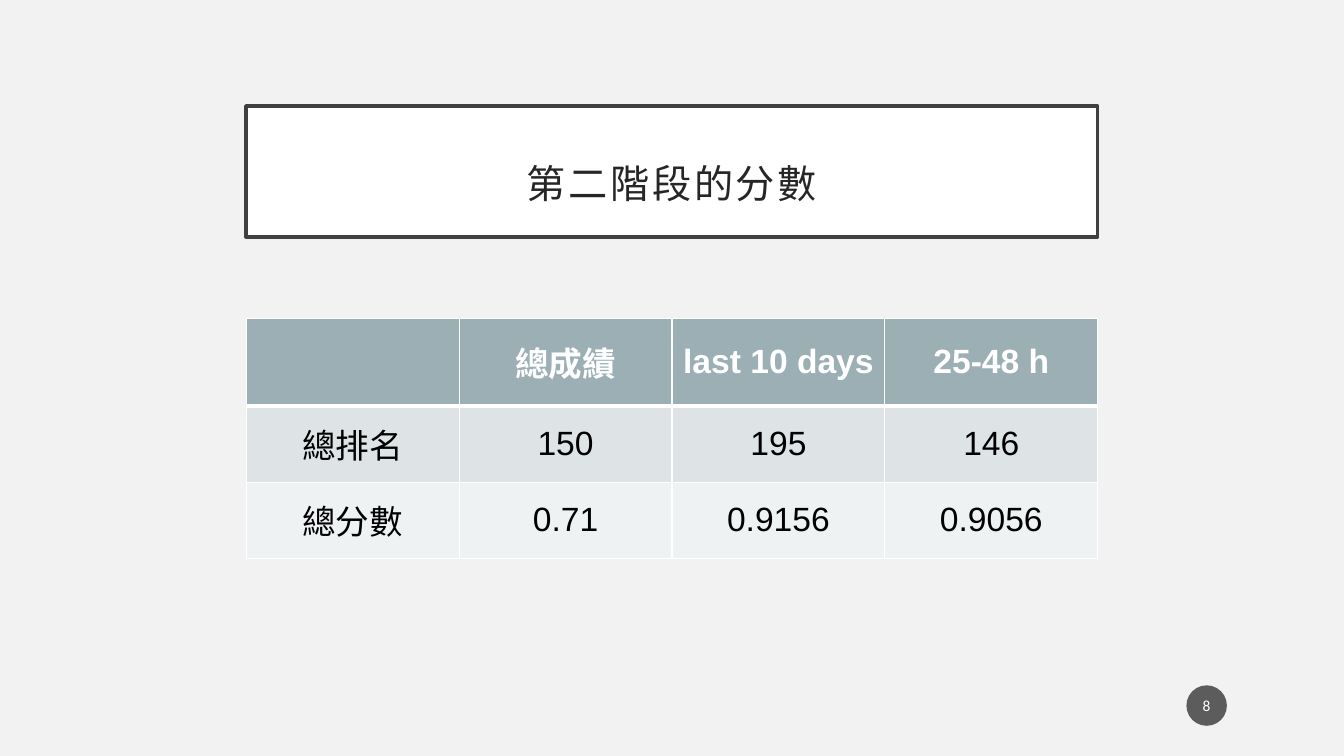
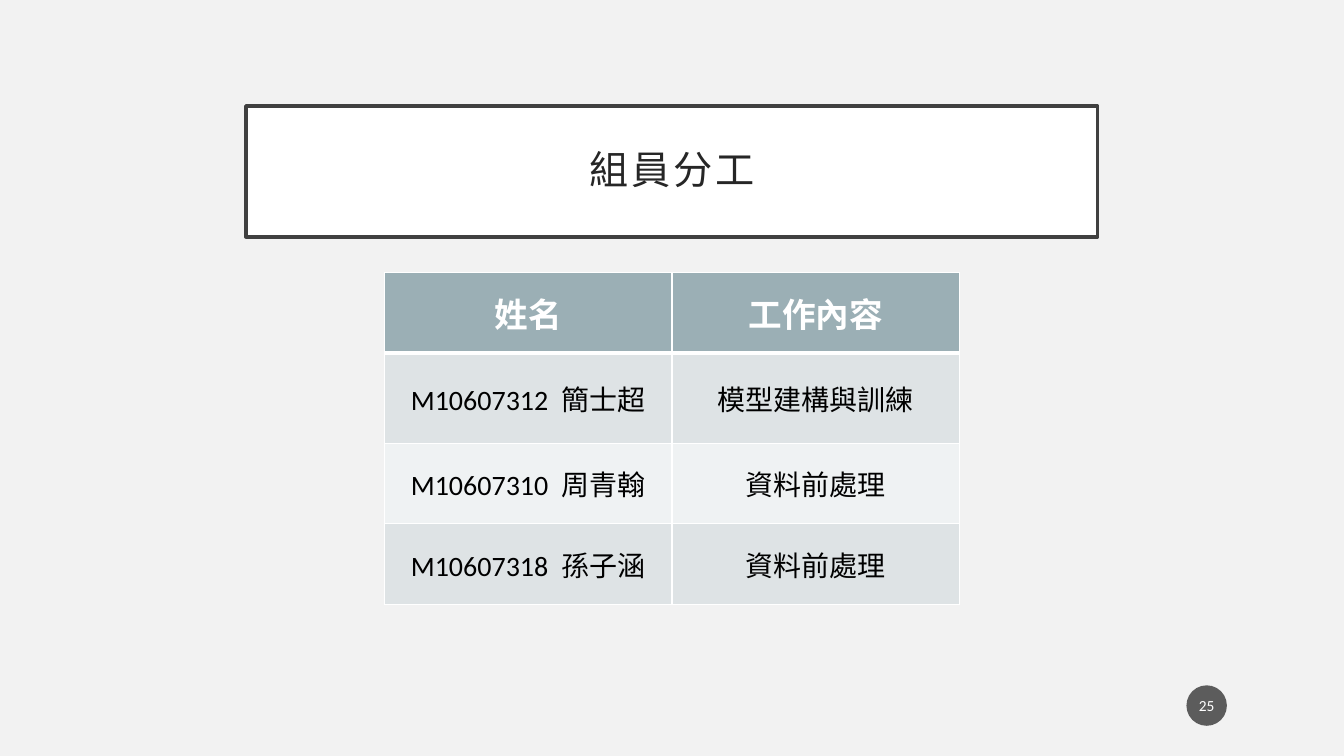
import pptx
import pptx.util
import pptx.dml.color
import pptx.enum.shapes
import pptx.enum.text
import pptx.oxml
import pptx.oxml.ns

Cm, Pt = pptx.util.Cm, pptx.util.Pt
RGB = pptx.dml.color.RGBColor
MID = pptx.enum.text.MSO_ANCHOR.MIDDLE
CENTER = pptx.enum.text.PP_ALIGN.CENTER

PAGES = [
    {"title": "第二階段的分數", "lead": 1.5, "number": "8",
     "top": 8.03, "width": 21.46, "heights": [2.2, 1.92, 1.92],
     "font": "Arial", "size": 24, "tight": True,
     "rows": [("", "總成績", "last 10 days", "25-48 h"),
              ("總排名", "150", "195", "146"),
              ("總分數", "0.71", "0.9156", "0.9056")]},
    {"title": "組員分工", "lead": 0.9, "number": "25",
     "top": 6.86, "width": 14.5, "heights": [2.03, 2.28, 2.03, 2.03],
     "font": "Calibri", "size": 20, "tight": False,
     "rows": [("姓名", "工作內容"),
              ("M10607312  簡士超", "模型建構與訓練"),
              ("M10607310  周青翰", "資料前處理"),
              ("M10607318  孫子涵", "資料前處理")]},
]

WIDE, HIGH = 33.87, 19.05
FONT = "Calibri"
HEAD_SIZE = 24
WHITE = RGB(0xFF, 0xFF, 0xFF)
BLACK = RGB(0, 0, 0)
PAPER = RGB(0xF2, 0xF2, 0xF2)
FRAME = RGB(0x40, 0x40, 0x40)
INK = RGB(0x26, 0x26, 0x26)
DOT = RGB(0x1D, 0x1D, 0x1D)
HEAD = RGB(0x9B, 0xAF, 0xB5)
BANDS = [RGB(0xEF, 0xF2, 0xF3), RGB(0xDE, 0xE3, 0xE5)]


def place(shape, left, top, width, height):
    shape.left, shape.top = Cm(left), Cm(top)
    shape.width, shape.height = Cm(width), Cm(height)


def pad(item, side, edge):
    item.margin_left = item.margin_right = Cm(side)
    item.margin_top = item.margin_bottom = Cm(edge)


def write(frame, text, font, size, color, bold=False):
    """Set centred text in one style and return its paragraph."""
    para = frame.paragraphs[0]
    para.text = text
    para.alignment = CENTER
    for run in para.runs:
        run.font.name, run.font.size = font, Pt(size)
        run.font.color.rgb, run.font.bold = color, bold
    return para


def add_title(slide, text, lead):
    title = slide.shapes.title
    place(title, 6.2, 2.67, 21.46, 3.3)
    title.fill.solid()
    title.fill.fore_color.rgb = WHITE
    title.line.color.rgb = FRAME
    title.line.width = Pt(2.5)
    frame = title.text_frame
    frame.auto_size = pptx.enum.text.MSO_AUTO_SIZE.NONE
    frame.word_wrap = True
    frame.vertical_anchor = MID
    pad(frame, 0.5, 0.5)
    para = write(frame, text, FONT, 28, INK)
    para.line_spacing = lead
    para.runs[0].font._element.set("spc", "200")


def add_number(slide, text):
    dot = slide.shapes.add_shape(pptx.enum.shapes.MSO_SHAPE.OVAL,
                                 Cm(29.9), Cm(17.27), Cm(1.02), Cm(1.02))
    dot.shadow.inherit = False
    dot.line.fill.background()
    dot.fill.solid()
    dot.fill.fore_color.rgb = DOT
    color = dot._element.spPr.find(".//" + pptx.oxml.ns.qn("a:srgbClr"))
    color.append(pptx.oxml.parse_xml(
        f'<a:alpha {pptx.oxml.ns.nsdecls("a")} val="70000"/>'))
    frame = dot.text_frame
    frame.vertical_anchor = MID
    pad(frame, 0.05, 0.13)
    write(frame, text, FONT, 11, WHITE)


def add_borders(cell, row):
    """Rule the cell thinly, with a thick line under the header row."""
    widths = {"L": 1, "R": 1, "T": 3 if row == 1 else 1,
              "B": 3 if row == 0 else 1}
    props = cell._tc.get_or_add_tcPr()
    for side, width in widths.items():
        props.append(pptx.oxml.parse_xml(
            f'<a:ln{side} {pptx.oxml.ns.nsdecls("a")} w="{Pt(width)}">'
            f'<a:solidFill><a:srgbClr val="{WHITE}"/></a:solidFill>'
            f'</a:ln{side}>'))


def add_grid(slide, page):
    rows, width, heights = page["rows"], page["width"], page["heights"]
    count = len(rows[0])
    table = slide.shapes.add_table(
        len(rows), count, Cm((WIDE - width) / 2), Cm(page["top"]),
        Cm(width), Cm(sum(heights))).table
    for col in table.columns:
        col.width = Cm(width / count)
    for r, texts in enumerate(rows):
        table.rows[r].height = Cm(heights[r])
        head = r == 0
        for c, text in enumerate(texts):
            cell = table.cell(r, c)
            cell.vertical_anchor = MID
            if head and page["tight"]:
                pad(cell, 0.08, 0.05)
            add_borders(cell, r)
            cell.fill.solid()
            cell.fill.fore_color.rgb = HEAD if head else BANDS[r % 2]
            write(cell.text_frame, text, page["font"],
                  HEAD_SIZE if head else page["size"],
                  WHITE if head else BLACK, head)


def main():
    deck = pptx.Presentation()
    deck.slide_width, deck.slide_height = Cm(WIDE), Cm(HIGH)
    back = deck.slide_master.background.fill
    back.solid()
    back.fore_color.rgb = PAPER
    for page in PAGES:
        slide = deck.slides.add_slide(deck.slide_layouts[5])
        add_title(slide, page["title"], page["lead"])
        add_grid(slide, page)
        add_number(slide, page["number"])
    deck.save("out.pptx")


if __name__ == "__main__":
    main()
